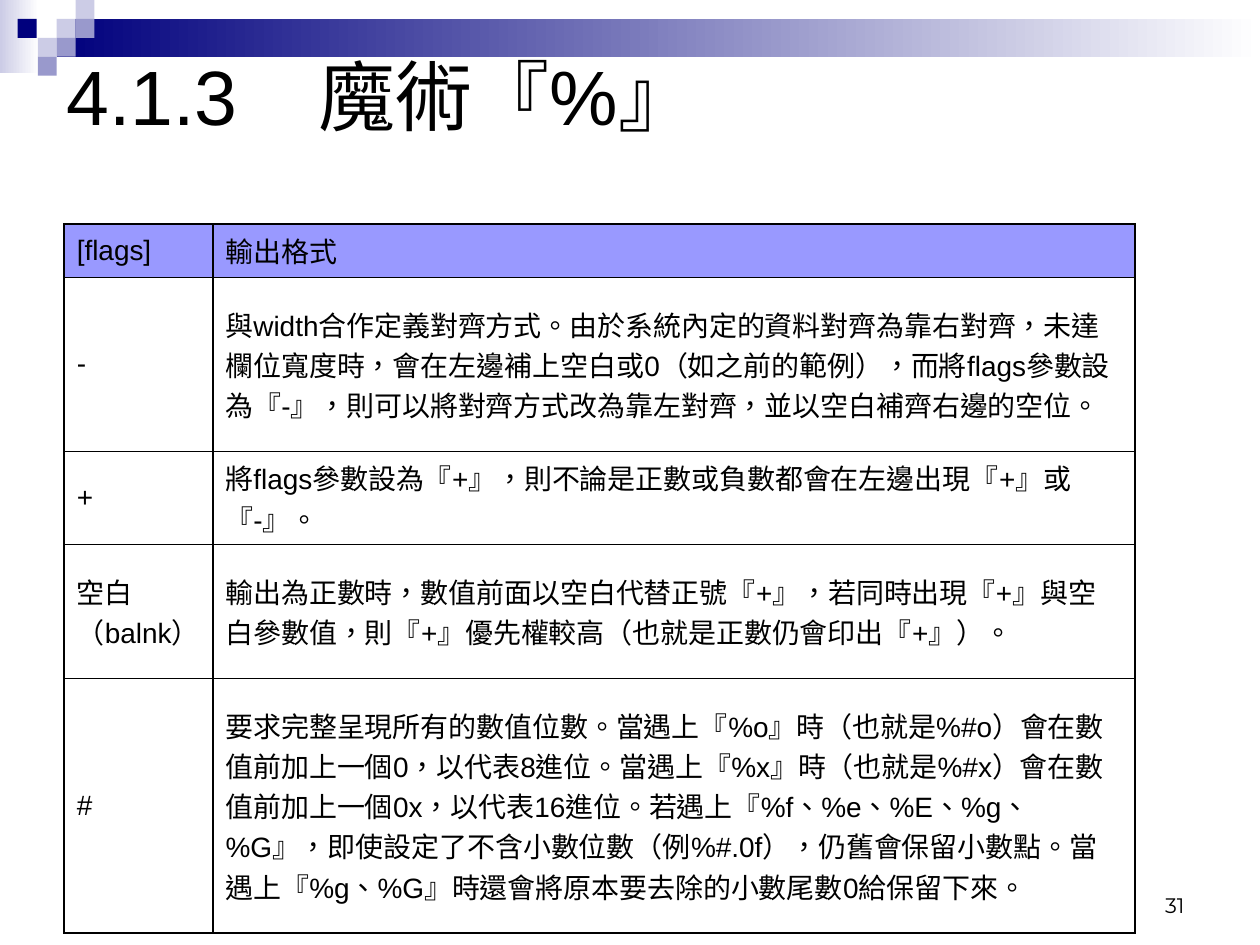
from lxml.etree import SubElement as Sub
from pptx import Presentation
from pptx.dml.color import RGBColor
from pptx.enum.lang import MSO_LANGUAGE_ID as Lang
from pptx.enum.shapes import MSO_SHAPE as Shape
from pptx.enum.text import MSO_ANCHOR as Anchor, PP_ALIGN as Align
from pptx.oxml.ns import qn
from pptx.util import Inches, Pt

TITLE = "4.1.3\t魔術『%』"
PAGE = "31"
ROWS = [
    ("[flags]", "輸出格式"),
    ("-", "與width合作定義對齊方式。由於系統內定的資料對齊為靠右對齊，未達欄位寬度時，"
          "會在左邊補上空白或0（如之前的範例），而將flags參數設為『-』，"
          "則可以將對齊方式改為靠左對齊，並以空白補齊右邊的空位。"),
    ("+", "將flags參數設為『+』，則不論是正數或負數都會在左邊出現『+』或『-』。"),
    ("空白（balnk）", "輸出為正數時，數值前面以空白代替正號『+』，若同時出現『+』與空白參數值，"
                   "則『+』優先權較高（也就是正數仍會印出『+』）。"),
    ("#", "要求完整呈現所有的數值位數。當遇上『%o』時（也就是%#o）會在數值前加上一個0，"
          "以代表8進位。當遇上『%x』時（也就是%#x）會在數值前加上一個0x，以代表16進位。"
          "若遇上『%f、%e、%E、%g、%G』，即使設定了不含小數位數（例%#.0f），"
          "仍舊會保留小數點。當遇上『%g、%G』時還會將原本要去除的小數尾數0給保留下來。"),
]
WIDTHS = [1.18, 7.32]
HEIGHTS = [0.37, 0.9, 0.64, 0.9, 1.44]
BANDS = [
    (0, 0, 0.31, 0.58, "CCCCE6"),
    (0.45, 0.15, 9.55, 0.3, "00007D"),
]
SIDE = 0.15
TILES = [
    (0.45, 0.15, "CCCCE6"), (0.6, 0, "CCCCE6"), (0.6, 0.15, "9999CC"),
    (0.3, 0.3, "CCCCE6"), (0.14, 0.15, "00007D"), (0.45, 0.3, "9999CC"),
    (0.3, 0.45, "9999CC"),
]
THICK, THIN = 1.08, 0.45


def color(code):
    return RGBColor.from_string(code)


def add_rect(x, y, w, h):
    rect = slide.shapes.add_shape(Shape.RECTANGLE, *map(Inches, (x, y, w, h)))
    rect.shadow.inherit = False
    rect.line.fill.background()
    return rect


def add_run(para, text, size, font="Arial"):
    para._p.get_or_add_pPr().set("hangingPunct", "0")
    run = para.add_run()
    run.text = text
    run.font.size = Pt(size)
    run.font.name = font
    run.font.language_id = Lang.TRADITIONAL_CHINESE
    run.font.color.rgb = color("000000")


def add_box(x, y, w, h, anchor):
    frame = slide.shapes.add_textbox(*map(Inches, (x, y, w, h))).text_frame
    frame.word_wrap = True
    frame.vertical_anchor = anchor
    return frame.paragraphs[0]


def add_edge(cell, side, width):
    line = Sub(cell._tc.get_or_add_tcPr(), qn("a:ln" + side), w=str(Pt(width)))
    fill = Sub(line, qn("a:solidFill"))
    Sub(fill, qn("a:srgbClr"), val="000000")


deck = Presentation()
deck.slide_width, deck.slide_height = Inches(10), Inches(7.5)
slide = deck.slides.add_slide(deck.slide_layouts[6])

for *area, code in BANDS:
    fill = add_rect(*area).fill
    fill.gradient()
    fill.gradient_angle = 0
    for stop, tone in zip(fill.gradient_stops, (code, "FFFFFF")):
        stop.color.rgb = color(tone)

for x, y, code in TILES:
    fill = add_rect(x, y, SIDE, SIDE).fill
    fill.solid()
    fill.fore_color.rgb = color(code)

table = slide.shapes.add_table(
    len(ROWS), len(WIDTHS), Inches(0.51), Inches(1.78),
    Inches(sum(WIDTHS)), Inches(sum(HEIGHTS))).table
table.first_row = table.horz_banding = False
for col, width in zip(table.columns, WIDTHS):
    col.width = Inches(width)
for row, height in zip(table.rows, HEIGHTS):
    row.height = Inches(height)

last = len(ROWS) - 1
for r, texts in enumerate(ROWS):
    for c, text in enumerate(texts):
        cell = table.cell(r, c)
        cell.vertical_anchor = Anchor.MIDDLE
        add_run(cell.text_frame.paragraphs[0], text, 16)
        add_edge(cell, "L", THICK)
        add_edge(cell, "R", THICK)
        add_edge(cell, "T", THICK if r == 0 else THIN)
        add_edge(cell, "B", THICK if r == last else THIN)
        if r == 0:
            cell.fill.solid()
            cell.fill.fore_color.rgb = color("9999FF")
        else:
            cell.fill.background()

para = add_box(0.43, 0, 9, 1.5, Anchor.MIDDLE)
tabs = Sub(para._p.get_or_add_pPr(), qn("a:tabLst"))
for n in range(1, 8):
    Sub(tabs, qn("a:tab"), pos=str(Inches(n)), algn="l")
add_run(para, TITLE, 44)

para = add_box(7.17, 6.83, 2.33, 0.5, Anchor.BOTTOM)
para.alignment = Align.RIGHT
add_run(para, PAGE, 12, "Montserrat")

deck.save("out.pptx")
